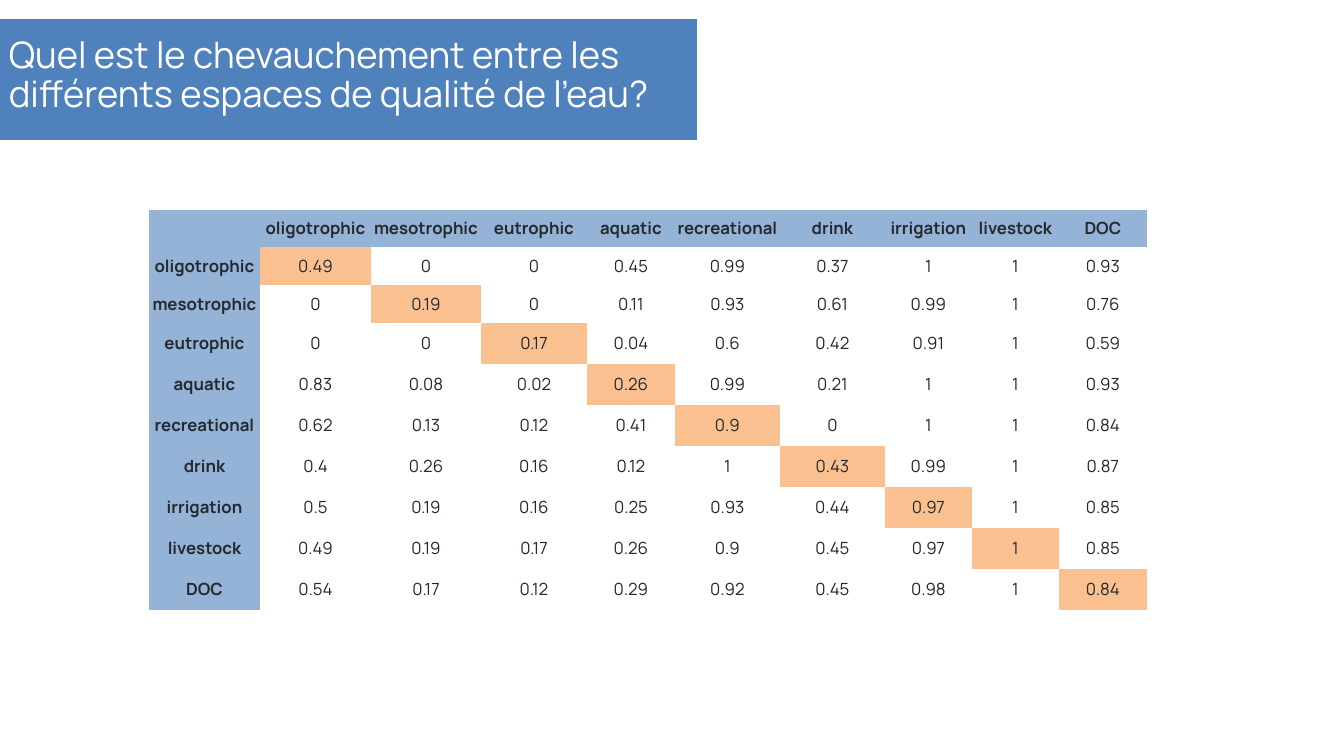
import pptx
import pptx.util
import pptx.dml.color
import pptx.enum.shapes
import pptx.enum.text

PX = 914400 / 100.8
BLUE, PALE_BLUE, ORANGE, WHITE, INK = "4F81BD", "95B3D7", "FAC090", "FFFFFF", "24292E"
LABELS = ["oligotrophic", "mesotrophic", "eutrophic", "aquatic", "recreational",
          "drink", "irrigation", "livestock", "DOC"]
OVERLAPS = [
    ["0.49", "0", "0", "0.45", "0.99", "0.37", "1", "1", "0.93"],
    ["0", "0.19", "0", "0.11", "0.93", "0.61", "0.99", "1", "0.76"],
    ["0", "0", "0.17", "0.04", "0.6", "0.42", "0.91", "1", "0.59"],
    ["0.83", "0.08", "0.02", "0.26", "0.99", "0.21", "1", "1", "0.93"],
    ["0.62", "0.13", "0.12", "0.41", "0.9", "0", "1", "1", "0.84"],
    ["0.4", "0.26", "0.16", "0.12", "1", "0.43", "0.99", "1", "0.87"],
    ["0.5", "0.19", "0.16", "0.25", "0.93", "0.44", "0.97", "1", "0.85"],
    ["0.49", "0.19", "0.17", "0.26", "0.9", "0.45", "0.97", "1", "0.85"],
    ["0.54", "0.17", "0.12", "0.29", "0.92", "0.45", "0.98", "1", "0.84"],
]
COL_WIDTHS = [111, 111, 110, 106, 88, 105, 105, 87, 87, 88]
ROW_HEIGHTS = [37, 38, 38] + [41] * 7


def px(*lengths):
    """Turn pixel lengths into a list of EMU."""
    return [pptx.util.Emu(round(n * PX)) for n in lengths]


def write(tf, text, size=12, color=INK, bold=False, align="CENTER", spacing=1.0):
    p = tf.paragraphs[0]
    p.alignment = pptx.enum.text.PP_ALIGN[align]
    p.line_spacing = spacing
    r = p.add_run()
    r.text = text
    r.font.name = "Manrope"
    r.font.size = pptx.util.Pt(size)
    r.font.bold = bold
    r.font.color.rgb = pptx.dml.color.RGBColor.from_string(color)


prs = pptx.Presentation()
prs.slide_width, prs.slide_height = px(1344, 756)
s = prs.slides.add_slide(prs.slide_layouts[6])

# Title banner
banner = s.shapes.add_shape(pptx.enum.shapes.MSO_SHAPE.RECTANGLE, *px(0, 19, 697, 121))
banner.shadow.inherit = False
banner.fill.solid()
banner.fill.fore_color.rgb = pptx.dml.color.RGBColor.from_string(BLUE)
banner.line.fill.background()

title = s.shapes.add_textbox(*px(-1, 32, 719, 99))
title.text_frame.word_wrap = True
write(title.text_frame, "Quel est le chevauchement entre les différents espaces de qualité de l’eau?",
      size=26, color=WHITE, align="LEFT", spacing=0.9)

# Overlap matrix, with its diagonal highlighted
rows = [[""] + LABELS] + [[label] + values for label, values in zip(LABELS, OVERLAPS)]
frame = s.shapes.add_table(len(rows), len(rows[0]),
                           *px(149, 210, sum(COL_WIDTHS), sum(ROW_HEIGHTS)))
table = frame.table
table.first_row = table.horz_banding = False
for column, width in zip(table.columns, COL_WIDTHS):
    column.width = px(width)[0]
for row, height in zip(table.rows, ROW_HEIGHTS):
    row.height = px(height)[0]

for i, values in enumerate(rows):
    for j, text in enumerate(values):
        cell = table.cell(i, j)
        heading = i == 0 or j == 0
        fill = PALE_BLUE if heading else ORANGE if i == j else WHITE
        cell.fill.solid()
        cell.fill.fore_color.rgb = pptx.dml.color.RGBColor.from_string(fill)
        cell.margin_left = cell.margin_right = 0
        cell.margin_top = cell.margin_bottom = px(3 if i else 0)[0]
        cell.vertical_anchor = pptx.enum.text.MSO_ANCHOR.MIDDLE
        if text:
            write(cell.text_frame, text, bold=heading)

# Remove the default table style, which draws white borders
style_id = frame._element.find(".//{*}tableStyleId")
style_id.text = "{2D5ABB26-0587-4C30-8999-92F81FD0307C}"

prs.save("out.pptx")
